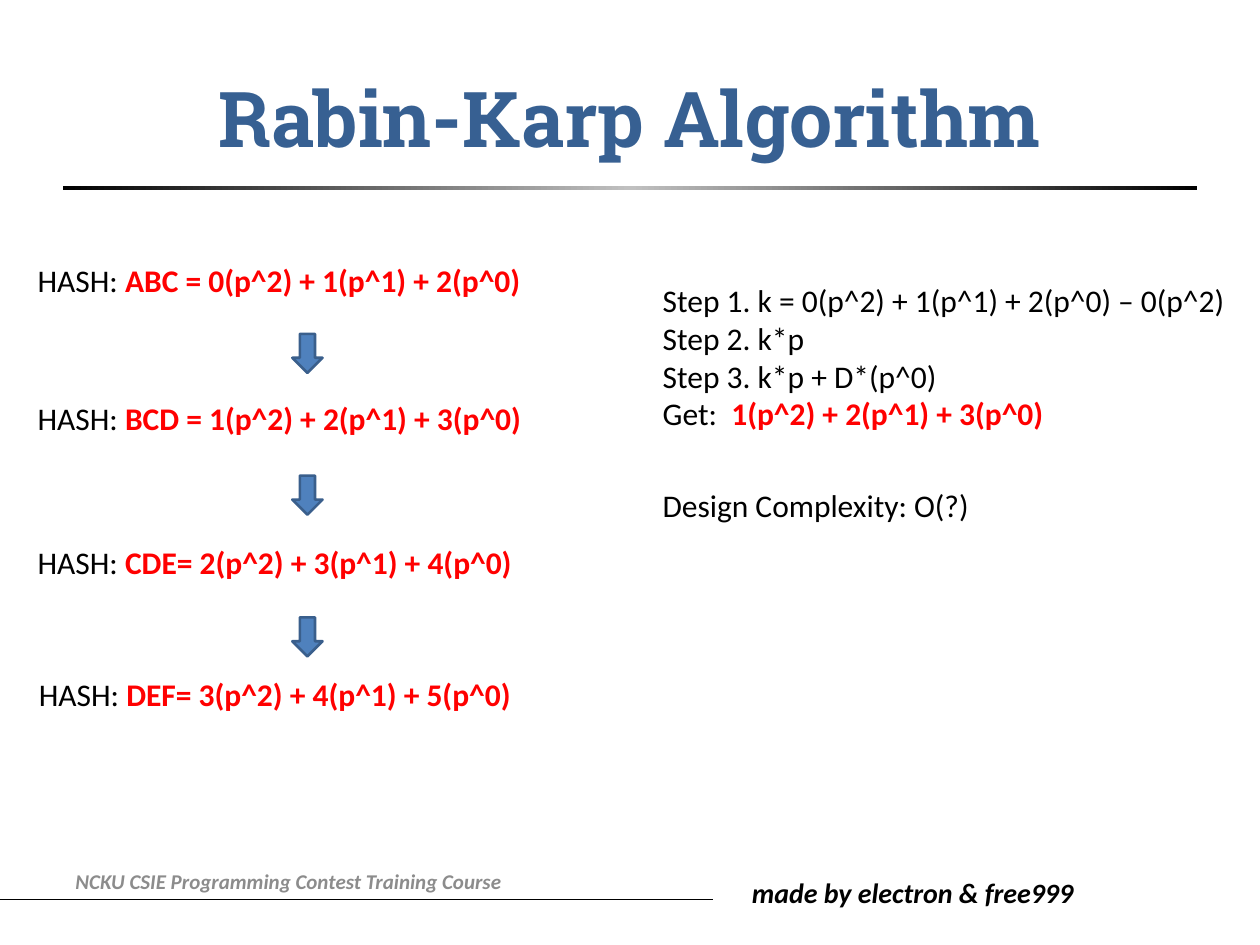
from copy import deepcopy
from dataclasses import dataclass

from lxml import etree
from pptx import Presentation
from pptx.dml.color import RGBColor as Rgb
from pptx.enum.shapes import MSO_CONNECTOR as Connector, MSO_SHAPE as Shape
from pptx.enum.text import MSO_ANCHOR as Anchor, MSO_AUTO_SIZE as AutoSize, PP_ALIGN as Align
from pptx.oxml.ns import qn
from pptx.util import Inches, Pt


@dataclass(frozen=True)
class Theme:
    heading_font: str = "Roboto Slab"
    body_font: str = "Calibri"
    ink: str = "000000"
    heading: str = "376092"
    formula: str = "FF0000"
    muted: str = "8C8C8C"
    silver: str = "C0C0C0"
    arrow: str = "4F81BD"
    arrow_edge: str = "3A5F8C"
    title_size: int = 44
    body_size: int = 18
    credit_size: int = 16
    footer_size: int = 12


THEME = Theme()


def add_run(paragraph, text, size=THEME.body_size, font=THEME.body_font,
            color=THEME.ink, bold=False, italic=False):
    run = paragraph.add_run()
    run.text = text
    run.font.size = Pt(size)
    run.font.name = font
    run.font.color.rgb = Rgb.from_string(color)
    run.font.bold = bold
    run.font.italic = italic


class SlideBuilder:
    def __init__(self, slide, theme):
        self.slide = slide
        self.theme = theme

    def place(self, shape, box):
        shape.left, shape.top, shape.width, shape.height = map(Inches, box)

    def title(self, text, box):
        heading = self.slide.shapes.title
        self.place(heading, box)
        heading.text_frame.vertical_anchor = Anchor.MIDDLE
        paragraph = heading.text_frame.paragraphs[0]
        paragraph.alignment = Align.CENTER
        add_run(paragraph, text, size=self.theme.title_size,
                font=self.theme.heading_font, color=self.theme.heading, bold=True)

    def steps(self, lines, box):
        body = self.slide.placeholders[1]
        self.place(body, box)
        frame = body.text_frame
        frame.auto_size = AutoSize.NONE
        for index, (label, formula) in enumerate(lines):
            paragraph = frame.add_paragraph() if index else frame.paragraphs[0]
            paragraph.space_before = Pt(0)
            properties = paragraph._p.get_or_add_pPr()
            properties.set("marL", "0")
            properties.set("indent", "0")
            etree.SubElement(properties, qn("a:buNone"))
            self.labelled(paragraph, label, formula)

    def labelled(self, paragraph, label, formula):
        add_run(paragraph, label)
        if formula:
            add_run(paragraph, formula, color=self.theme.formula, bold=True)

    def text_box(self, box, anchor=Anchor.TOP):
        frame = self.slide.shapes.add_textbox(*map(Inches, box)).text_frame
        frame.word_wrap = True
        frame.vertical_anchor = anchor
        return frame.paragraphs[0]

    def text(self, text, box, anchor=Anchor.TOP, **style):
        add_run(self.text_box(box, anchor), text, **style)

    def hash_line(self, formula, box):
        self.labelled(self.text_box(box), "HASH: ", formula)

    def shape(self, kind, box):
        shape = self.slide.shapes.add_shape(kind, *map(Inches, box))
        shape.shadow.inherit = False
        return shape

    def down_arrow(self, box):
        arrow = self.shape(Shape.DOWN_ARROW, box)
        arrow.fill.solid()
        arrow.fill.fore_color.rgb = Rgb.from_string(self.theme.arrow)
        arrow.line.color.rgb = Rgb.from_string(self.theme.arrow_edge)
        arrow.line.width = Pt(1.5)

    def gradient_bar(self, box):
        bar = self.shape(Shape.RECTANGLE, box)
        bar.line.fill.background()
        bar.fill.gradient()
        bar.fill.gradient_angle = 0
        stop_list = bar._element.spPr.find(".//" + qn("a:gsLst"))
        stop_list.insert(1, deepcopy(stop_list[0]))
        colors = (self.theme.ink, self.theme.silver, self.theme.ink)
        for stop, position, color in zip(bar.fill.gradient_stops, (0, 0.5, 1), colors):
            stop.position = position
            stop.color.rgb = Rgb.from_string(color)

    def rule(self, left, right, y):
        line = self.slide.shapes.add_connector(
            Connector.STRAIGHT, Inches(left), Inches(y), Inches(right), Inches(y))
        line.line.color.rgb = Rgb.from_string(self.theme.ink)
        line.line.width = Pt(0.5)
        etree.SubElement(line._element.spPr, qn("a:effectLst"))


HASHES = [
    (0.2, 2.02, "ABC = 0(p^2) + 1(p^1) + 2(p^0)"),
    (0.2, 3.12, "BCD = 1(p^2) + 2(p^1) + 3(p^0)"),
    (0.2, 4.26, "CDE= 2(p^2) + 3(p^1) + 4(p^0)"),
    (0.21, 5.31, "DEF= 3(p^2) + 4(p^1) + 5(p^0)"),
]
STEPS = [
    ("Step 1. k = 0(p^2) + 1(p^1) + 2(p^0) – 0(p^2)", ""),
    ("Step 2. k*p", ""),
    ("Step 3. k*p + D*(p^0)", ""),
    ("Get:  ", "1(p^2) + 2(p^1) + 3(p^0)"),
]
ARROW_TOP, ARROW_PITCH = 2.65, 1.125

deck = Presentation()
deck.slide_width, deck.slide_height = Inches(10), Inches(7.5)
page = SlideBuilder(deck.slides.add_slide(deck.slide_layouts[1]), THEME)

page.rule(0, 5.66, 7.14)
page.text("made by electron & free999", (5.87, 6.9, 2.96, 0.37),
          size=THEME.credit_size, bold=True, italic=True)
page.gradient_bar((0.5, 1.48, 9, 0.03))
page.title("Rabin-Karp Algorithm", (0.5, 0.3, 9, 1.25))
page.text("NCKU CSIE Programming Contest Training Course", (0.5, 6.79, 5.05, 0.4),
          anchor=Anchor.MIDDLE, size=THEME.footer_size, color=THEME.muted,
          bold=True, italic=True)
for left, top, formula in HASHES:
    page.hash_line(formula, (left, top, 6.3, 0.4))
for index in range(len(HASHES) - 1):
    page.down_arrow((2.32, ARROW_TOP + index * ARROW_PITCH, 0.24, 0.31))
page.steps(STEPS, (5.16, 2.18, 4.84, 2.22))
page.text("Design Complexity: O(?)", (5.16, 3.81, 3.31, 0.4))

deck.save("out.pptx")
